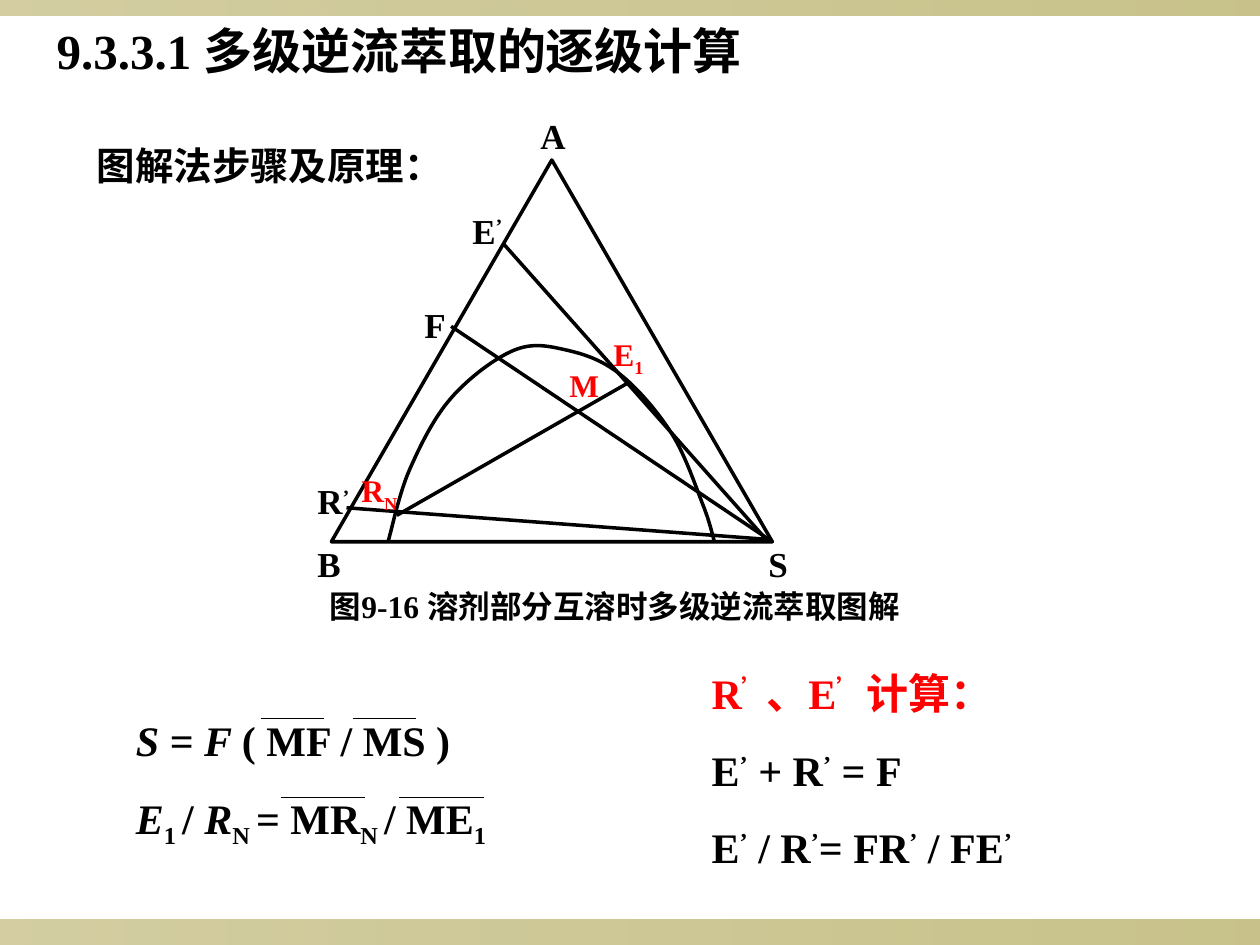
from dataclasses import dataclass
from typing import NamedTuple

from lxml.etree import SubElement
from pptx import Presentation
from pptx.dml.color import RGBColor
from pptx.enum.shapes import MSO_CONNECTOR, MSO_SHAPE
from pptx.enum.text import MSO_ANCHOR, MSO_AUTO_SIZE, PP_ALIGN
from pptx.oxml.ns import qn
from pptx.util import Inches, Pt


@dataclass(frozen=True)
class Theme:
    font: str = "Times New Roman"
    ink: RGBColor = RGBColor(0, 0, 0)
    accent: RGBColor = RGBColor(0xFF, 0, 0)
    band: RGBColor = RGBColor(0x91, 0x84, 0x15)
    band_alphas: tuple[int, int] = (40, 50)
    title: int = 28
    formula: int = 24
    lead: int = 22
    vertex: int = 20
    caption: int = 18
    outline: float = 2
    overline: float = 0.75


class Point(NamedTuple):
    x: float
    y: float


class Box(NamedTuple):
    left: float
    top: float
    width: float
    height: float


class Piece(NamedTuple):
    text: str
    baseline: int = 0
    italic: bool = False


@dataclass(frozen=True)
class Label:
    box: Box
    lines: list[list[Piece]]
    size: int
    color: RGBColor


@dataclass(frozen=True)
class Stroke:
    start: Point
    end: Point
    weight: float


THEME = Theme()
LABEL_WIDTH, LABEL_HEIGHT = 0.67, 0.44
PRIME = Piece("’", 30)


def inches(values: tuple[float, ...]) -> list[int]:
    return [Inches(value) for value in values]


def sub(text: str) -> Piece:
    return Piece(text, -25)


def slanted(text: str) -> Piece:
    return Piece(text, italic=True)


def vertex(x: float, y: float, *pieces: Piece) -> Label:
    return Label(Box(x, y, LABEL_WIDTH, LABEL_HEIGHT), [list(pieces)], THEME.vertex, THEME.ink)


def phase(x: float, y: float, *pieces: Piece) -> Label:
    return Label(Box(x, y, LABEL_WIDTH, LABEL_HEIGHT), [list(pieces)], THEME.caption, THEME.accent)


def overline(x: float, y: float, length: float) -> Stroke:
    return Stroke(Point(x, y), Point(x + length, y), THEME.overline)


def write_line(paragraph, pieces: list[Piece], size: int, color: RGBColor) -> None:
    for piece in pieces:
        run = paragraph.add_run()
        run.text = piece.text
        font = run.font
        font.name, font.size, font.bold, font.italic = THEME.font, Pt(size), True, piece.italic
        font.color.rgb = color
        if piece.baseline:
            font._element.set("baseline", str(piece.baseline * 1000))


def draw_title(slide, text: str, box: Box) -> None:
    title = slide.shapes.title
    title.left, title.top, title.width, title.height = inches(box)
    frame = title.text_frame
    frame.word_wrap = False
    frame.auto_size = MSO_AUTO_SIZE.SHAPE_TO_FIT_TEXT
    frame.vertical_anchor = MSO_ANCHOR.TOP
    frame.paragraphs[0].alignment = PP_ALIGN.LEFT
    write_line(frame.paragraphs[0], [Piece(text)], THEME.title, THEME.ink)


def draw_label(slide, label: Label) -> None:
    frame = slide.shapes.add_textbox(*inches(label.box)).text_frame
    frame.word_wrap = True
    frame.auto_size = MSO_AUTO_SIZE.SHAPE_TO_FIT_TEXT
    for index, pieces in enumerate(label.lines):
        paragraph = frame.add_paragraph() if index else frame.paragraphs[0]
        if index:
            paragraph.space_before = Pt(15)
        write_line(paragraph, pieces, label.size, THEME.ink if index else label.color)


def draw_stroke(slide, stroke: Stroke) -> None:
    connector = slide.shapes.add_connector(
        MSO_CONNECTOR.STRAIGHT, *inches(stroke.start), *inches(stroke.end))
    connector.line.color.rgb = THEME.ink
    connector.line.width = Pt(stroke.weight)
    SubElement(connector._element.spPr, qn("a:effectLst"))


def draw_band(slide, box: Box) -> None:
    band = slide.shapes.add_shape(MSO_SHAPE.RECTANGLE, *inches(box))
    band.shadow.inherit = False
    band.line.fill.background()
    band.fill.gradient()
    band.fill.gradient_angle = 0
    for stop in band.fill.gradient_stops:
        stop.color.rgb = THEME.band
    for color, alpha in zip(band._element.spPr.iter(qn("a:srgbClr")), THEME.band_alphas):
        SubElement(color, qn("a:alpha")).set("val", str(alpha * 1000))


def draw_outline(shape) -> None:
    shape.shadow.inherit = False
    shape.fill.background()
    shape.line.color.rgb = THEME.ink
    shape.line.width = Pt(THEME.outline)


def spline(knots: list[Point], steps: int = 16) -> list[Point]:
    def blend(a: float, b: float, c: float, d: float, t: float) -> float:
        return (2 * b + (c - a) * t + (2 * a - 5 * b + 4 * c - d) * t ** 2
                + (3 * b - a - 3 * c + d) * t ** 3) / 2

    padded = [knots[0], *knots, knots[-1]]
    points = [knots[0]]
    for quad in zip(padded, padded[1:], padded[2:], padded[3:]):
        for step in range(1, steps + 1):
            points.append(Point(*(blend(*axis, step / steps) for axis in zip(*quad))))
    return points


def draw_curve(slide, knots: list[Point]) -> None:
    start, *rest = spline(knots)
    builder = slide.shapes.build_freeform(*inches(start), scale=1.0)
    builder.add_line_segments([inches(point) for point in rest], close=False)
    draw_outline(builder.convert_to_shape())


def main() -> None:
    deck = Presentation()
    deck.slide_width, deck.slide_height = Inches(10), Inches(7.5)
    slide = deck.slides.add_slide(deck.slide_layouts[5])

    for band in (Box(0, 7.3, 10, 0.2), Box(0, 0, 10, 0.12)):
        draw_band(slide, band)
    draw_title(slide, "9.3.3.1 多级逆流萃取的逐级计算", Box(0.35, 0.11, 5.73, 0.57))

    draw_outline(slide.shapes.add_shape(
        MSO_SHAPE.ISOSCELES_TRIANGLE, *inches(Box(2.63, 1.27, 3.5, 3.03))))
    draw_curve(slide, [
        Point(3.08, 4.3), Point(3.25, 3.73), Point(3.58, 3.16), Point(4.08, 2.78),
        Point(4.5, 2.78), Point(4.92, 2.97), Point(5.33, 3.44), Point(5.58, 4.01),
        Point(5.67, 4.3)])

    solvent = Point(6.08, 4.28)
    strokes = [
        Stroke(Point(6.13, 4.3), Point(3.58, 2.59), THEME.outline),
        Stroke(Point(3.15, 4.09), Point(5, 3.03), THEME.outline),
        Stroke(Point(2.75, 4.03), solvent, THEME.outline),
        Stroke(solvent, Point(4, 1.94), THEME.outline),
        *(overline(x, 5.7, 0.5) for x in (2.07, 2.8)),
        *(overline(x, 6.33, 0.67) for x in (2.23, 3.17)),
    ]
    for stroke in strokes:
        draw_stroke(slide, stroke)

    solvent_ratio = [slanted("S "), Piece("= "), slanted("F "), Piece("( MF / MS )")]
    phase_ratio = [slanted("E"), sub("1 "), Piece("/ "), slanted("R"), sub("N "),
                   Piece("= MR"), sub("N "), Piece("/ ME"), sub("1")]
    prime_balance = [
        [Piece("R"), PRIME, Piece("、E"), Piece("’ ", 30), Piece("计算：")],
        [Piece("E"), PRIME, Piece(" + R"), PRIME, Piece(" = F")],
        [Piece("E"), PRIME, Piece(" / R"), PRIME, Piece("= FR"), PRIME, Piece(" / FE"), PRIME],
    ]
    labels = [
        Label(Box(0.98, 5.62, 3.75, 0.5), [solvent_ratio], THEME.formula, THEME.ink),
        Label(Box(0.98, 6.24, 3.25, 0.56), [phase_ratio], THEME.formula, THEME.ink),
        Label(Box(5.55, 5.25, 3.17, 1.72), prime_balance, THEME.formula, THEME.accent),
        Label(Box(0.67, 1.08, 2.83, 0.47), [[Piece("图解法步骤及原理：")]], THEME.lead, THEME.ink),
        Label(Box(2.52, 4.61, 4.98, 0.4), [[Piece("图9-16 溶剂部分互溶时多级逆流萃取图解")]],
              THEME.caption, THEME.ink),
        vertex(4.19, 0.86, Piece("A")),
        vertex(2.42, 4.26, Piece("B")),
        vertex(6, 4.26, Piece("S")),
        vertex(3.27, 2.36, Piece("F")),
        vertex(3.65, 1.61, Piece("E"), PRIME),
        vertex(2.42, 3.76, Piece("R"), PRIME),
        phase(4.42, 2.86, Piece("M")),
        phase(4.77, 2.61, Piece("E"), sub("1")),
        phase(2.77, 3.69, Piece("R"), sub("N")),
    ]
    for label in labels:
        draw_label(slide, label)

    deck.save("out.pptx")


if __name__ == "__main__":
    main()
